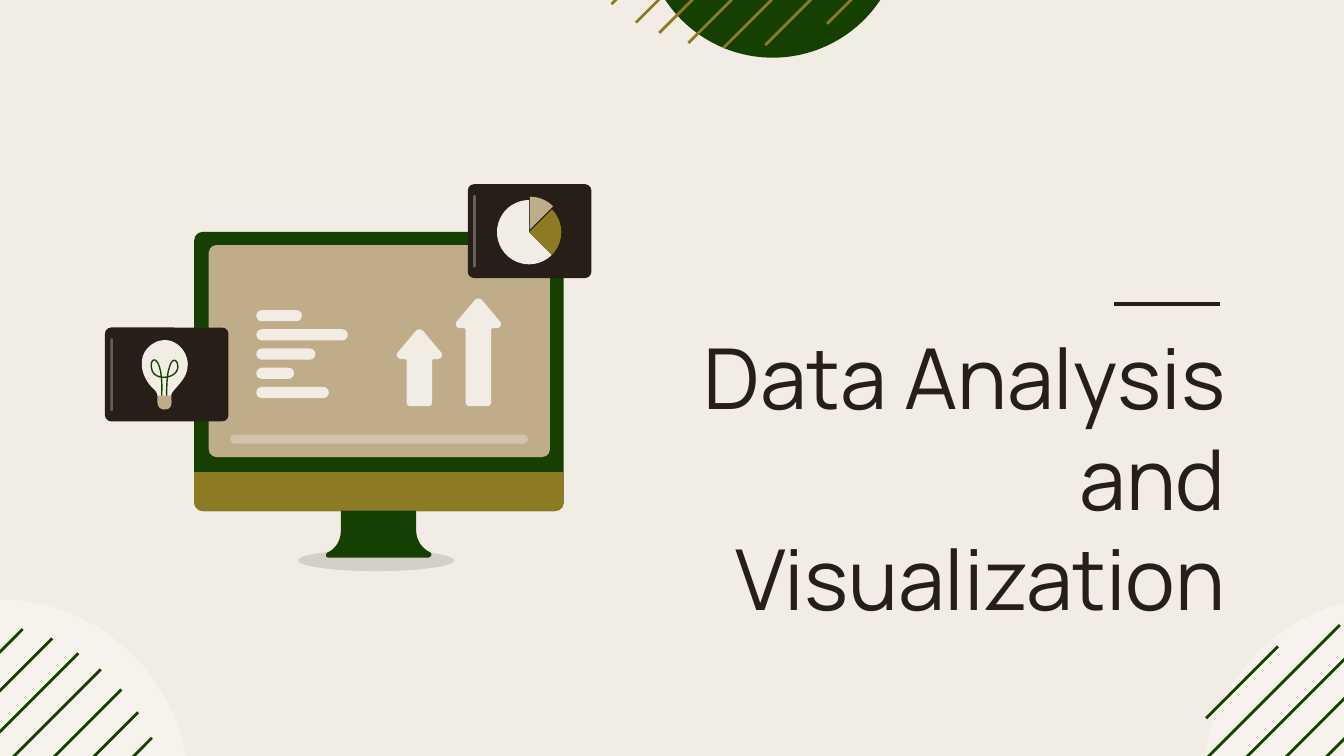
from math import cos, radians, sin

from pptx import Presentation
from pptx.dml.color import RGBColor
from pptx.enum import shapes, text
from pptx.oxml.ns import qn
from pptx.util import Pt

# Content
TITLE = "Data Analysis and Visualization"
FONT = "Manrope"
CREAM, GREEN, OLIVE, TAN, DARK = "F2EDE4", "154001", "8C7B23", "BFAD8A", "261E17"
WHITE, BLACK = "FFFFFF", "000000"

# Corner circles: left, top, width, height, colour, opacity,
# stripe colour, 45° stripes (right end x, y, horizontal run)
CORNERS = [
    (-103, 321.1, 204.5, 206, WHITE, 36, GREEN,
     [(12.2, 337, 123), (28, 342, 133.5), (42, 350, 140), (54, 358.6, 145.5),
      (65, 369.4, 138.5), (74, 381.6, 141), (81.4, 395.3, 134)]),
    (643.7, 319.7, 204.5, 206, WHITE, 36, GREEN,
     [(684.7, 346.3, 38.5), (717.8, 334.8, 83), (740, 333.4, 107),
      (759, 335.5, 123), (774.7, 341.3, 133.5)]),
    (344.9, -107.3, 138.2, 138.2, GREEN, 100, OLIVE,
     [(471.6, -141.8, 144), (481.7, -128.9, 141), (486.7, -115.9, 133.5),
      (491.8, -100, 123), (494.6, -81.4, 107), (493.2, -59, 83.2),
      (481.7, -25.9, 38.6)]),
]

# Text bars on the screen, and arrows as (tip x, tip y)
BAR_WIDTHS = [24.5, 49, 31.7, 20.2, 38.9]
ARROWS = [(224.7, 176.5), (256.3, 160)]
ARROW_BASE = 217.6
CARDS = [(56.2, 175.5), (250.6, 98.7)]

# Outlines: pairs are straight steps, sixes are Bézier steps
STAND = [(182.6, 284.4), (182.6, 273.6), (223, 273.6), (223, 284.4),
         (223, 289.4, 226.1, 293.8, 230.4, 295.9),
         (231.8, 296.6, 231.1, 298.8, 229, 298.8), (176.4, 298.8),
         (174.2, 298.8, 174.2, 296.6, 175.7, 295.9),
         (180, 293.8, 182.6, 289.4, 182.6, 284.4)]
BULB = [(88.6, 182.2), (87.1, 182.2, 85.7, 182.5, 84.2, 182.9),
        (71.3, 188.6, 75.6, 203, 82.8, 208.8),
        (84.6, 211, 84.4, 212, 84.4, 212.4), (91.8, 212.4),
        (90.7, 209.5, 100.1, 204.5, 100.5, 196.6),
        (101.5, 190.1, 95.8, 182.2, 88.6, 182.2)]
SOCKET = [(91.8, 212, 91.8, 212, 91.8, 212)[:2], (91.8, 215.3, 92.9, 219.4, 87.8, 219.4),
          (83.5, 218.9, 84.4, 214.6, 84.4, 212)]
FILAMENT = [(89.3, 212), (89.3, 212, 89.3, 200.2, 90.7, 197.3),
            (91.4, 193.7, 93.6, 191.5, 95, 194.4),
            (97.9, 203, 82.1, 205.2, 81.2, 197.3),
            (79.9, 190.1, 87.8, 189.4, 86.7, 212)]
SOCKET[0] = (91.8, 212)

# Pie slices: centre x, centre y, radius, start and end angle, colour
SLICES = [(283.9, 122.9, 17.5, -90, -45, TAN), (283.5, 124.4, 17.2, 45, 270, CREAM),
          (283.5, 124.4, 17.2, -45, 45, OLIVE)]

prs = Presentation()
prs.slide_width, prs.slide_height = Pt(720), Pt(405)
s = prs.slides.add_slide(prs.slide_layouts[5])


def rgb(value):
    return RGBColor.from_string(value)


def paint(sp, color, opacity=100):
    """Flat fill, no outline, no shadow."""
    sp.shadow.inherit = False
    sp.line.fill.background()
    sp.fill.solid()
    sp.fill.fore_color.rgb = rgb(color)
    if opacity < 100:
        clr = sp.fill._xPr.find(qn("a:solidFill"))[0]
        clr.makeelement(qn("a:alpha"), {})
        alpha = clr.makeelement(qn("a:alpha"), {"val": str(opacity * 1000)})
        clr.append(alpha)
    return sp


def preset(kind, x, y, w, h, color, opacity=100):
    sp = s.shapes.add_shape(kind, Pt(x), Pt(y), Pt(w), Pt(h))
    return paint(sp, color, opacity)


def ellipse(*args):
    return preset(shapes.MSO_SHAPE.OVAL, *args)


def rounded(x, y, w, h, radius, color, opacity=100):
    sp = preset(shapes.MSO_SHAPE.ROUNDED_RECTANGLE, x, y, w, h, color, opacity)
    sp.adjustments[0] = radius / min(w, h)


def line(x1, y1, x2, y2, color, width):
    c = s.shapes.add_connector(shapes.MSO_CONNECTOR.STRAIGHT, Pt(x1), Pt(y1), Pt(x2), Pt(y2))
    c.line.color.rgb, c.line.width = rgb(color), Pt(width)
    pr = c._element.spPr
    pr.append(pr.makeelement(qn("a:effectLst"), {}))


def trace(steps, n=12):
    """Points along straight and Bézier steps."""
    pts = [steps[0]]
    for step in steps[1:]:
        if len(step) == 2:
            pts.append(step)
            continue
        knots = [pts[-1], step[:2], step[2:4], step[4:]]
        for i in range(1, n + 1):
            t = i / n
            weights = ((1 - t) ** 3, 3 * t * (1 - t) ** 2, 3 * t * t * (1 - t), t ** 3)
            pts.append(tuple(sum(w * k[a] for w, k in zip(weights, knots)) for a in (0, 1)))
    return pts


def outline(pts, close=True):
    fb = s.shapes.build_freeform(Pt(pts[0][0]), Pt(pts[0][1]))
    fb.add_line_segments([(Pt(x), Pt(y)) for x, y in pts[1:]], close=close)
    return fb.convert_to_shape()


def arrow(x, y, base):
    h = base - y
    half = trace([(0, 0), (0.8, 0, 1.4, 0.3, 2, 0.9), (11.5, 12.2),
                  (12.8, 13.6, 12, 15.9, 9.4, 15.9), (7.4, 15.9), (6.8, 16.5),
                  (6.8, h - 2), (6.8, h - 0.8, 5.9, h, 4.7, h)])
    pts = half + [(-dx, dy) for dx, dy in reversed(half)]
    paint(outline([(x + dx, y + dy) for dx, dy in pts]), CREAM)


def sector(cx, cy, r, start, end, color):
    angles = [radians(start + (end - start) * i / 40) for i in range(41)]
    arc = [(cx + r * cos(a), cy + r * sin(a)) for a in angles]
    paint(outline([(cx, cy)] + arc), color)


def write(tf, value, *, font, size, color, align):
    p = tf.paragraphs[0]
    p.alignment, p.line_spacing = align, 1.0
    r = p.add_run()
    r.text = value
    r.font.name, r.font.size, r.font.color.rgb = font, Pt(size), rgb(color)


# Background and striped corners
s.background.fill.solid()
s.background.fill.fore_color.rgb = rgb(CREAM)
for x, y, w, h, color, opacity, stripe, stripes in CORNERS:
    ellipse(x, y, w, h, color, opacity)
    for right, top, run in stripes:
        line(right - run, top + run, right, top, stripe, 1.5)

# Title and rule
title = s.shapes.title
title.left, title.top, title.width, title.height = Pt(360), Pt(167), Pt(303.8), Pt(123.8)
tf = title.text_frame
tf.word_wrap, tf.auto_size = True, text.MSO_AUTO_SIZE.NONE
tf.vertical_anchor = text.MSO_ANCHOR.TOP
tf.margin_left = tf.margin_right = tf.margin_top = tf.margin_bottom = Pt(7.2)
write(tf, TITLE, font=FONT, size=45, color=DARK, align=text.PP_ALIGN.RIGHT)
line(596.9, 162.7, 653.8, 162.7, DARK, 2.25)

# Monitor
ellipse(159.8, 294.5, 83.5, 11.5, BLACK, 12)
rounded(104, 124.2, 198, 149.6, 4.7, GREEN)
chin = preset(shapes.MSO_SHAPE.ROUND_2_SAME_RECTANGLE, 104, 252.9, 198, 20.9, OLIVE)
chin.adjustments[0], chin.adjustments[1] = 0, 4.7 / 20.9
paint(outline(trace(STAND)), GREEN)
rounded(111.8, 131.3, 182.8, 113.6, 4.2, TAN)
for i, width in enumerate(BAR_WIDTHS):
    rounded(137.3, 166.1 + 10.3 * i, width, 6, 3, CREAM)
for x, y in ARROWS:
    arrow(x, y, ARROW_BASE)
rounded(123.4, 232.9, 159.4, 4.8, 2.4, WHITE, 29)

# Cards with their bulb and pie
for x, y in CARDS:
    rounded(x, y, 66.2, 50.3, 3.4, DARK)
    rounded(x + 2.9, y + 5.8, 1.4, 38.9, 0.7, WHITE, 29)
paint(outline(trace(BULB)), CREAM)
paint(outline(trace(SOCKET)), TAN)
filament = outline(trace(FILAMENT), close=False)
filament.shadow.inherit = False
filament.fill.background()
filament.line.color.rgb, filament.line.width = rgb(GREEN), Pt(0.75)
for piece in SLICES:
    sector(*piece)

prs.save("out.pptx")
